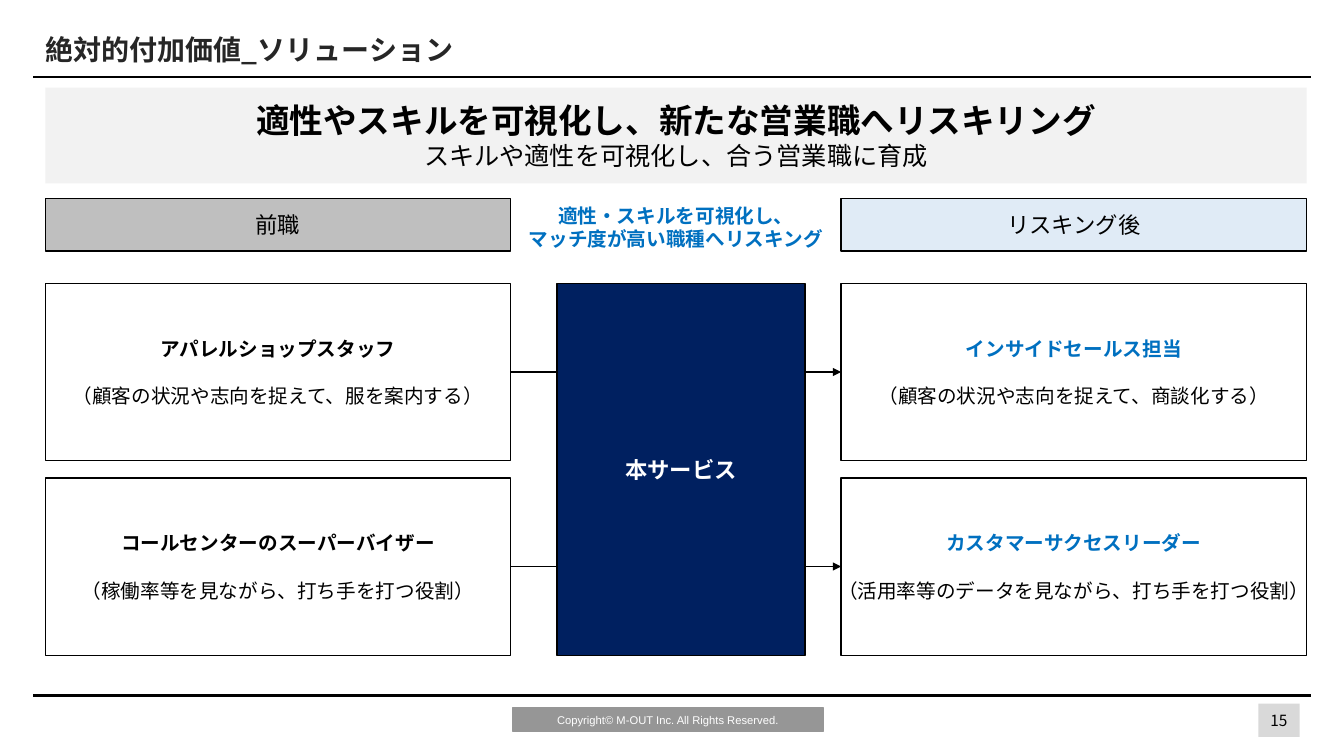
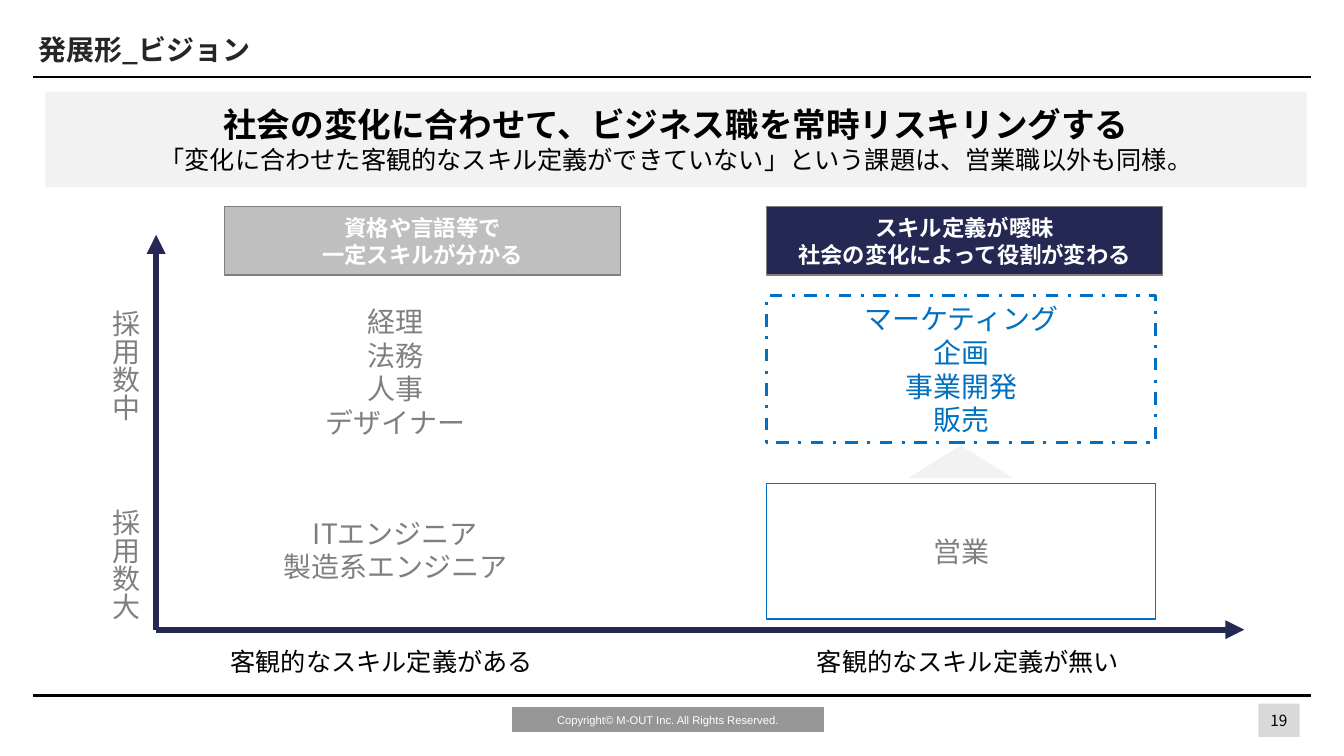
"""Build two slides on reskilling into sales roles; areas are percentages of the slide's width and height."""
import pptx
import pptx.dml.color
import pptx.enum.dml
import pptx.enum.shapes
import pptx.enum.text
import pptx.oxml.ns
import pptx.util
from lxml import etree

RGB = pptx.dml.color.RGBColor
BLACK = RGB(0x00, 0x00, 0x00)
WHITE = RGB(0xFF, 0xFF, 0xFF)
INK = RGB(0x26, 0x26, 0x26)
BLUE = RGB(0x00, 0x70, 0xC0)
DEEP_BLUE = RGB(0x00, 0x20, 0x60)
NAVY = RGB(0x24, 0x28, 0x52)
ICE = RGB(0xE0, 0xEB, 0xF6)
PALE = RGB(0xF2, 0xF2, 0xF2)
LIGHT = RGB(0xD9, 0xD9, 0xD9)
SILVER = RGB(0xBF, 0xBF, 0xBF)
STEEL = RGB(0x96, 0x96, 0x96)
GRAY = RGB(0x7F, 0x7F, 0x7F)

JP = "Noto Sans CJK JP"
SHAPE = pptx.enum.shapes.MSO_SHAPE
ALIGN = pptx.enum.text.PP_ALIGN
ANCHOR = pptx.enum.text.MSO_ANCHOR
qn = pptx.oxml.ns.qn

prs = pptx.Presentation()
prs.slide_width = pptx.util.Inches(13.34)
prs.slide_height = pptx.util.Inches(7.5)
COL = prs.slide_width / 100
ROW = prs.slide_height / 100


def box(s, area, lines=(), fill=None, line=None, width=1, kind=SHAPE.RECTANGLE, sp=None,
        inset=(0.04, 0.04), align=ALIGN.CENTER, anchor=ANCHOR.MIDDLE, gap=0, font=JP):
    """Place a shape and write its lines, each given as text, size, colour and weight."""
    sp = sp or (s.shapes.add_shape(kind, 0, 0, 0, 0) if fill or line
                else s.shapes.add_textbox(0, 0, 0, 0))
    x, y, w, h = area
    sp.left, sp.width = int(x * COL), int(w * COL)
    sp.top, sp.height = int(y * ROW), int(h * ROW)
    sp.shadow.inherit = False
    if fill:
        sp.fill.solid()
        sp.fill.fore_color.rgb = fill
    else:
        sp.fill.background()
    if line:
        sp.line.color.rgb = line
        sp.line.width = pptx.util.Pt(width)
    else:
        sp.line.fill.background()
    tf = sp.text_frame
    tf.auto_size = pptx.enum.text.MSO_AUTO_SIZE.NONE
    tf.word_wrap = not fill
    tf.vertical_anchor = anchor
    tf.margin_left = tf.margin_right = pptx.util.Inches(inset[0])
    tf.margin_top = tf.margin_bottom = pptx.util.Inches(inset[1])
    for i, (text, size, color, bold) in enumerate(lines):
        p = tf.add_paragraph() if i else tf.paragraphs[0]
        p.text = text
        p.alignment = align
        if i and gap:
            p.space_before = pptx.util.Pt(gap)
        p.font.size = pptx.util.Pt(size)
        p.font.bold = bold
        p.font.color.rgb = color
        p.font.name = font
        etree.SubElement(p.font._element, qn("a:ea")).set("typeface", font)
    return sp


def rule(s, start, end, color=BLACK, width=1, arrow=False):
    """Draw a straight line, with an arrowhead at its end when asked."""
    cn = s.shapes.add_connector(pptx.enum.shapes.MSO_CONNECTOR.STRAIGHT,
                                int(start[0] * COL), int(start[1] * ROW),
                                int(end[0] * COL), int(end[1] * ROW))
    cn.line.color.rgb = color
    cn.line.width = pptx.util.Pt(width)
    if arrow:
        etree.SubElement(cn.line._get_or_add_ln(), qn("a:tailEnd")).set("type", "triangle")
    etree.SubElement(cn._element.spPr, qn("a:effectLst"))
    return cn


pages = [
    ("絶対的付加価値_ソリューション", 2.62, 11.6, "15",
     "適性やスキルを可視化し、新たな営業職へリスキリング",
     "スキルや適性を可視化し、合う営業職に育成"),
    ("発展形_ビジョン", 2.1, 12.13, "19",
     "社会の変化に合わせて、ビジネス職を常時リスキリングする",
     "「変化に合わせた客観的なスキル定義ができていない」という課題は、営業職以外も同様。"),
]
slides = []
for title, title_x, band_y, number, headline, subline in pages:
    s = prs.slides.add_slide(prs.slide_layouts[5])
    box(s, (title_x, 2.8, 75, 7.33), [(title, 20, INK, True)], sp=s.shapes.title,
        inset=(0.1, 0.05), align=ALIGN.LEFT)
    for y in (10.13, 92):
        rule(s, (2.47, y), (97.53, y), width=1.5)
    box(s, (38.16, 93.6, 23.09, 3.2),
        [("Copyright© M-OUT Inc. All Rights Reserved.", 8, WHITE, False)],
        fill=STEEL, line=STEEL, font="Arial")
    box(s, (93.63, 93.07, 3.07, 4.4), [(number, 11, BLACK, False)], fill=LIGHT)
    box(s, (3.37, band_y, 93.85, 12.67),
        [(headline, 24, BLACK, True), (subline, 18, BLACK, False)], fill=PALE)
    slides.append(s)

s = slides[0]
LEFT, RIGHT, CARD_W = 3.37, 62.59, 34.63
HEAD_Y, CARD_Y, CARD_H, CARD_STEP = 26.27, 37.47, 23.47, 25.73
for x, text, fill in ((LEFT, "前職", SILVER), (RIGHT, "リスキング後", ICE)):
    box(s, (x, HEAD_Y, CARD_W, 6.93), [(text, 16, BLACK, False)], fill=fill, line=BLACK)
box(s, (LEFT + CARD_W, HEAD_Y, RIGHT - LEFT - CARD_W, 7.6),
    [("適性・スキルを可視化し、", 14, BLUE, True),
     ("マッチ度が高い職種へリスキング", 14, BLUE, True)],
    inset=(0.04, 0.05), anchor=ANCHOR.TOP)

moves = [
    (("アパレルショップスタッフ", "（顧客の状況や志向を捉えて、服を案内する）"),
     ("インサイドセールス担当", "（顧客の状況や志向を捉えて、商談化する）")),
    (("コールセンターのスーパーバイザー", "（稼働率等を見ながら、打ち手を打つ役割）"),
     ("カスタマーサクセスリーダー", "（活用率等のデータを見ながら、打ち手を打つ役割）")),
]
for i, jobs in enumerate(moves):
    y = CARD_Y + i * CARD_STEP
    before, after = [
        box(s, (x, y, CARD_W, CARD_H), [(job, 14, color, True), (duty, 14, BLACK, False)],
            fill=WHITE, line=BLACK, gap=17)
        for x, color, (job, duty) in zip((LEFT, RIGHT), (BLACK, BLUE), jobs)]
    mid = y + CARD_H / 2
    cn = rule(s, (LEFT + CARD_W, mid), (RIGHT, mid), arrow=True)
    cn.begin_connect(before, 3)
    cn.end_connect(after, 1)
box(s, (41.45, CARD_Y, 18.45, CARD_STEP + CARD_H), [("本サービス", 16, WHITE, True)],
    fill=DEEP_BLUE, line=BLACK)

s = slides[1]
DEFINED, VAGUE = 16.72, 57.05
AXIS_X, AXIS_Y = 11.62, 83.3
heads = [
    (DEFINED, SILVER, ("資格や言語等で", "一定スキルが分かる")),
    (VAGUE, NAVY, ("スキル定義が曖昧", "社会の変化によって役割が変わる")),
]
for x, fill, texts in heads:
    box(s, (x, 27.33, 29.46, 9.07), [(text, 16, WHITE, True) for text in texts],
        fill=fill, line=GRAY)

for y, text in ((39.6, "採用数中"), (66, "採用数大")):
    sp = box(s, (6.97, y, 3.97, 19.2), [(text, 20, GRAY, False)], inset=(0.05, 0.1),
             align=ALIGN.LEFT, anchor=ANCHOR.TOP)
    sp.text_frame._txBody.bodyPr.set("vert", "eaVert")
for x, text in ((16.42, "客観的なスキル定義がある"), (60.04, "客観的なスキル定義が無い")):
    box(s, (x, 84.8, 34.18, 5.33), [(text, 18, BLACK, False)], inset=(0.1, 0.05),
        align=ALIGN.LEFT, anchor=ANCHOR.TOP)

for y, h, texts in ((39.6, 19.2, ("経理", "法務", "人事", "デザイナー")),
                    (67.6, 10.27, ("ITエンジニア", "製造系エンジニア"))):
    box(s, (DEFINED, y, 25.41, h), [(text, 20, GRAY, False) for text in texts])

for end in ((AXIS_X, 31.07), (92.58, AXIS_Y)):
    rule(s, (AXIS_X, AXIS_Y), end, NAVY, 4.5, arrow=True)

box(s, (VAGUE, 64, 28.94, 17.87), [("営業", 20, GRAY, False)], line=BLUE)
sp = box(s, (VAGUE, 39.07, 28.94, 19.47),
         [(text, 20, BLUE, False) for text in ("マーケティング", "企画", "事業開発", "販売")],
         line=BLUE, width=2.25)
sp.line.dash_style = pptx.enum.dml.MSO_LINE.DASH_DOT
box(s, (67.62, 58.93, 7.72, 4.27), fill=PALE, kind=SHAPE.ISOSCELES_TRIANGLE)

prs.save("out.pptx")
